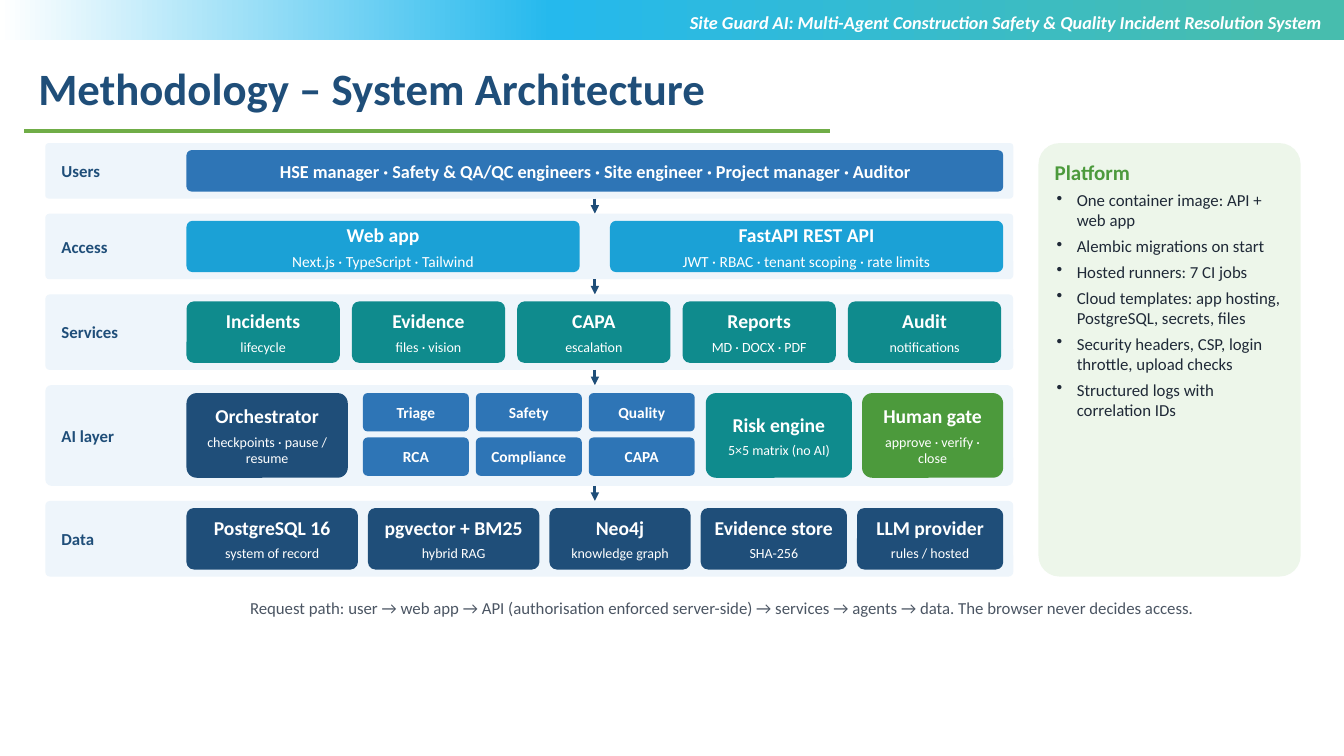
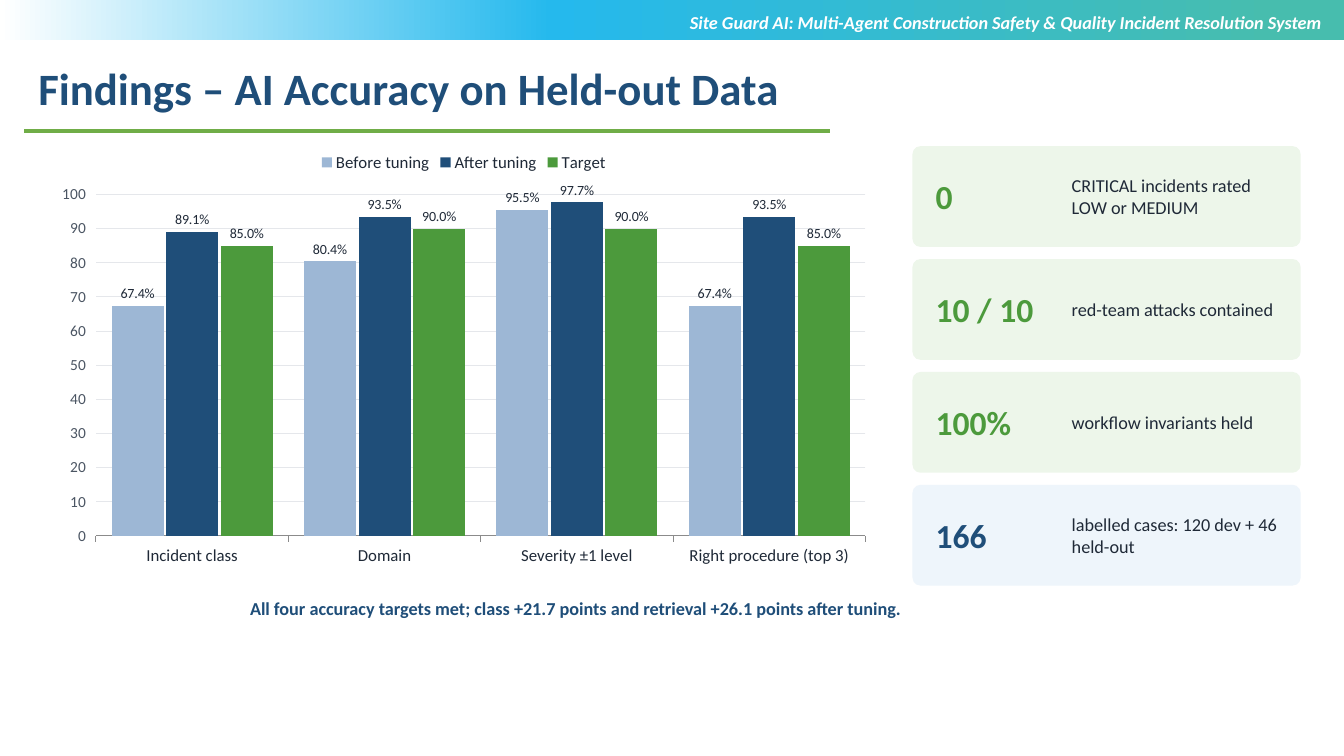
"""Builds two slides on a construction safety system: its architecture and its accuracy."""
from copy import deepcopy
from itertools import accumulate

from lxml import etree
from pptx import Presentation
from pptx.chart import data as chart_data
from pptx.dml.color import RGBColor
from pptx.enum import chart as charts, shapes, text
from pptx.oxml import ns
from pptx.util import Inches, Pt

FONT = "Calibri"
NAVY, BLUE, SKY, TEAL, GREEN = "1F4E79", "2E75B6", "1BA1D6", "0F8B8D", "4C9A3C"
PALE_BLUE, PALE_GREEN, WHITE = "EEF5FB", "EDF6EA", "FFFFFF"
INK, GREY, RULE, GRID, STEEL = "1F2937", "4B5563", "70AD47", "E5E7EB", "9DB7D5"
HEADER = "Site Guard AI: Multi-Agent Construction Safety & Quality Incident Resolution System"
LEFT, CENTER, RIGHT = text.PP_ALIGN.LEFT, text.PP_ALIGN.CENTER, text.PP_ALIGN.RIGHT
TOP, MIDDLE = text.MSO_ANCHOR.TOP, text.MSO_ANCHOR.MIDDLE


def rgb(value):
    """Turn a hex string into a colour."""
    return RGBColor.from_string(value)


def inches(box):
    """Turn a box of left, top, width and height into lengths."""
    return [Inches(round(side, 2)) for side in box]


def style_font(font, size, color, bold=False):
    """Set the face, size, colour and weight of a font."""
    font.name, font.size, font.bold = FONT, Pt(size), bold
    font.color.rgb = rgb(color)


def write(shape, lines, align=LEFT, anchor=TOP, insets=(0.08, 0.08), after=4):
    """Fill a shape with lines of (text, size, colour, bold)."""
    frame = shape.text_frame
    frame.word_wrap, frame.vertical_anchor = True, anchor
    frame.auto_size = text.MSO_AUTO_SIZE.NONE
    frame.margin_left = frame.margin_right = Inches(insets[0])
    frame.margin_top = frame.margin_bottom = Inches(insets[1])
    frame.text = "\n".join(line[0] for line in lines)
    for paragraph, (_, size, color, bold) in zip(frame.paragraphs, lines):
        paragraph.alignment, paragraph.space_after = align, Pt(after)
        style_font(paragraph.runs[0].font, size, color, bold)
    return frame


def add_label(slide, box, lines, **layout):
    """Add a text box and fill it."""
    return write(slide.shapes.add_textbox(*inches(box)), lines, **layout)


def add_panel(slide, box, color, rounding):
    """Add a plain rounded panel."""
    panel = slide.shapes.add_shape(shapes.MSO_SHAPE.ROUNDED_RECTANGLE, *inches(box))
    panel.adjustments[0] = rounding
    panel.shadow.inherit = False
    panel.fill.solid()
    panel.fill.fore_color.rgb = rgb(color)
    panel.line.fill.background()
    return panel


def add_line(slide, start, end, color, width, arrow=False):
    """Draw a straight line, with an arrowhead at its end if asked."""
    line = slide.shapes.add_connector(shapes.MSO_CONNECTOR.STRAIGHT, *inches(start + end))
    line.line.color.rgb, line.line.width = rgb(color), Pt(width)
    properties = line._element.spPr
    if arrow:
        etree.SubElement(properties.find(ns.qn("a:ln")), ns.qn("a:tailEnd"), type="triangle")
    etree.SubElement(properties, ns.qn("a:effectLst"))


def add_frame(deck, title):
    """Add a slide with the gradient band, header, title and rule."""
    slide = deck.slides.add_slide(deck.slide_layouts[5])
    band = slide.shapes.add_shape(shapes.MSO_SHAPE.RECTANGLE, 0, 0, deck.slide_width, Inches(0.4))
    band.shadow.inherit = False
    band.line.fill.background()
    band.fill.gradient()
    band.fill.gradient_angle = 180
    stops = band._element.spPr.find(ns.qn("a:gradFill")).find(ns.qn("a:gsLst"))
    stops.append(deepcopy(stops[0]))
    for stop, (position, color) in zip(
            band.fill.gradient_stops, [(0.05, "47BDAE"), (0.59, "25B9ED"), (1, WHITE)]):
        stop.position, stop.color.rgb = position, rgb(color)
    heading = slide.shapes.title
    heading.left, heading.top, heading.width, heading.height = inches((0.28, 0.55, 11.62, 0.71))
    write(heading, [(title, 32, NAVY, True)], insets=(0.1, 0.05), after=0)
    add_line(slide, (0.24, 1.3), (8.23, 1.3), RULE, 2.25)
    header = add_label(slide, (4.35, 0.06, 8.85, 0.71), [(HEADER, 13, WHITE, True)],
                       align=RIGHT, insets=(0.1, 0.05), after=0)
    header.paragraphs[0].runs[0].font.italic = True
    return slide


def add_note(slide, note, size, color, bold):
    """Add the closing sentence under the content."""
    add_label(slide, (2.4, 5.85, 10.5, 0.35), [(note, size, color, bold)])


def add_block(slide, box, color, name, detail="", size=14, detail_size=10):
    """Add one component of the architecture."""
    lines = [(name, size, WHITE, True)]
    if detail:
        lines.append((detail, detail_size, WHITE, False))
    write(add_panel(slide, box, color, 0.12), lines, CENTER, MIDDLE, (0.05, 0.05))


def add_row(slide, box, color, gap, widths, blocks, **sizes):
    """Lay components side by side from the left of a box."""
    left, top, _, height = box
    offsets = accumulate((width + gap for width in widths), initial=0)
    for offset, width, block in zip(offsets, widths, blocks):
        add_block(slide, (left + offset, top, width, height), color, *block, **sizes)


def add_ai_layer(slide, box):
    """Place the orchestrator, agents, risk engine and human gate."""
    left, top, _, height = box
    top, height = top + 0.01, height - 0.02
    for offset, width, color, name, detail in [
            (0, 1.6, NAVY, "Orchestrator", "checkpoints · pause / resume"),
            (5.15, 1.45, TEAL, "Risk engine", "5×5 matrix (no AI)"),
            (6.7, 1.4, GREEN, "Human gate", "approve · verify · close")]:
        add_block(slide, (left + offset, top, width, height), color, name, detail)
    for row, agents in enumerate([("Triage", "Safety", "Quality"), ("RCA", "Compliance", "CAPA")]):
        add_row(slide, (left + 1.75, top + row * 0.44, 3.29, 0.38), BLUE, 0.07, [1.05] * 3,
                [(agent,) for agent in agents], size=11)


def add_layers(slide, box):
    """Stack the five layers with an arrow between each pair."""
    left, top, width, _ = box
    rows = {
        "Users": (BLUE, 0, [8.1], [
            ("HSE manager · Safety & QA/QC engineers · Site engineer · Project manager · Auditor",)],
            {"size": 13}),
        "Access": (SKY, 0.3, [3.9] * 2, [
            ("Web app", "Next.js · TypeScript · Tailwind"),
            ("FastAPI REST API", "JWT · RBAC · tenant scoping · rate limits")], {"detail_size": 11}),
        "Services": (TEAL, 0.12, [1.52] * 5, [
            ("Incidents", "lifecycle"), ("Evidence", "files · vision"), ("CAPA", "escalation"),
            ("Reports", "MD · DOCX · PDF"), ("Audit", "notifications")], {}),
        "Data": (NAVY, 0.1, [1.7, 1.7, 1.4, 1.45, 1.45], [
            ("PostgreSQL 16", "system of record"), ("pgvector + BM25", "hybrid RAG"),
            ("Neo4j", "knowledge graph"), ("Evidence store", "SHA-256"),
            ("LLM provider", "rules / hosted")], {}),
    }
    heights = {"Users": 0.55, "Access": 0.65, "Services": 0.75, "AI layer": 1, "Data": 0.75}
    gap, arrow_x = 0.15, left + 5.45
    for layer, height in heights.items():
        add_panel(slide, (left, top, width, height), PALE_BLUE, 0.06)
        add_label(slide, (left + 0.08, top, 1.3, height), [(layer, 12, NAVY, True)], anchor=MIDDLE)
        inner = (left + 1.4, top + 0.07, width - 1.5, height - 0.14)
        if layer in rows:
            color, spacing, widths, blocks, sizes = rows[layer]
            add_row(slide, inner, color, spacing, widths, blocks, **sizes)
        else:
            add_ai_layer(slide, inner)
        if layer != "Data":
            add_line(slide, (arrow_x, top + height), (arrow_x, top + height + gap), NAVY, 2, True)
        top += height + gap


def add_platform(slide, box):
    """Add the platform panel with its bullet list."""
    left, top, width, height = box
    points = ["One container image: API + web app", "Alembic migrations on start",
              "Hosted runners: 7 CI jobs", "Cloud templates: app hosting, PostgreSQL, secrets, files",
              "Security headers, CSP, login throttle, upload checks",
              "Structured logs with correlation IDs"]
    add_panel(slide, box, PALE_GREEN, 0.08)
    frame = add_label(slide, (left + 0.08, top + 0.08, width - 0.15, height - 0.1),
                      [("Platform", 15, GREEN, True)] + [(point, 12, INK, False) for point in points])
    for paragraph in frame.paragraphs[1:]:
        properties = paragraph._p.get_or_add_pPr()
        properties.set("marL", str(Inches(0.22)))
        properties.set("indent", str(Inches(-0.2)))
        etree.SubElement(properties, ns.qn("a:buChar"), char="•")


def add_accuracy_chart(slide, box):
    """Chart accuracy before and after tuning against target."""
    data = chart_data.CategoryChartData()
    data.categories = ["Incident class", "Domain", "Severity ±1 level", "Right procedure (top 3)"]
    data.add_series("Before tuning", [67.4, 80.4, 95.5, 67.4])
    data.add_series("After tuning", [89.1, 93.5, 97.7, 93.5])
    data.add_series("Target", [85, 90, 90, 85])
    chart = slide.shapes.add_chart(
        charts.XL_CHART_TYPE.COLUMN_CLUSTERED, *inches(box), data).chart
    style_font(chart.font, 12, INK)
    chart.has_title, chart.has_legend = False, True
    chart.legend.position = charts.XL_LEGEND_POSITION.TOP
    chart.legend.include_in_layout = False
    style_font(chart.legend.font, 12, INK)
    style_font(chart.category_axis.tick_labels.font, 12, INK)
    chart.category_axis.format.line.color.rgb = rgb("8B8B8B")
    scale = chart.value_axis
    scale.minimum_scale, scale.maximum_scale, scale.major_unit = 0, 100, 10
    style_font(scale.tick_labels.font, 11, GREY)
    scale.format.line.fill.background()
    scale.major_gridlines.format.line.color.rgb = rgb(GRID)
    scale.major_gridlines.format.line.width = Pt(0.75)
    plot = chart.plots[0]
    plot.gap_width, plot.overlap, plot.vary_by_categories = 60, -5, False
    for series, color in zip(plot.series, [STEEL, NAVY, GREEN]):
        series.format.fill.solid()
        series.format.fill.fore_color.rgb = rgb(color)
        labels = series.data_labels
        labels.show_value, labels.position = True, charts.XL_LABEL_POSITION.OUTSIDE_END
        labels.number_format, labels.number_format_is_linked = '0.0"%"', False
        style_font(labels.font, 10, INK)


def add_result(slide, box, figure, meaning, color, back):
    """Add a card with a key figure and its meaning."""
    left, top, _, height = box
    add_panel(slide, box, back, 0.08)
    add_label(slide, (left + 0.15, top, 1.4, height), [(figure, 24, color, True)], anchor=MIDDLE)
    add_label(slide, (left + 1.5, top, 2.3, height), [(meaning, 13, INK, False)], anchor=MIDDLE)


def build_architecture(deck):
    """Build the architecture slide."""
    slide = add_frame(deck, "Methodology – System Architecture")
    add_layers(slide, (0.45, 1.42, 9.6, 4.3))
    add_platform(slide, (10.3, 1.42, 2.6, 4.3))
    add_note(slide, "Request path: user → web app → API (authorisation enforced server-side) → "
             "services → agents → data. The browser never decides access.", 12, GREY, False)


def build_findings(deck):
    """Build the accuracy slide."""
    slide = add_frame(deck, "Findings – AI Accuracy on Held-out Data")
    add_accuracy_chart(slide, (0.45, 1.4, 8.3, 4.3))
    results = [("0", "CRITICAL incidents rated LOW or MEDIUM", GREEN, PALE_GREEN),
               ("10 / 10", "red-team attacks contained", GREEN, PALE_GREEN),
               ("100%", "workflow invariants held", GREEN, PALE_GREEN),
               ("166", "labelled cases: 120 dev + 46 held-out", NAVY, PALE_BLUE)]
    for index, result in enumerate(results):
        add_result(slide, (9.05, 1.45 + index * 1.12, 3.85, 1), *result)
    add_note(slide, "All four accuracy targets met; class +21.7 points and retrieval +26.1 points "
             "after tuning.", 13, NAVY, True)


def main():
    """Build and save the deck."""
    deck = Presentation()
    deck.slide_width, deck.slide_height = Inches(13.33), Inches(7.5)
    build_architecture(deck)
    build_findings(deck)
    deck.save("out.pptx")


if __name__ == "__main__":
    main()
